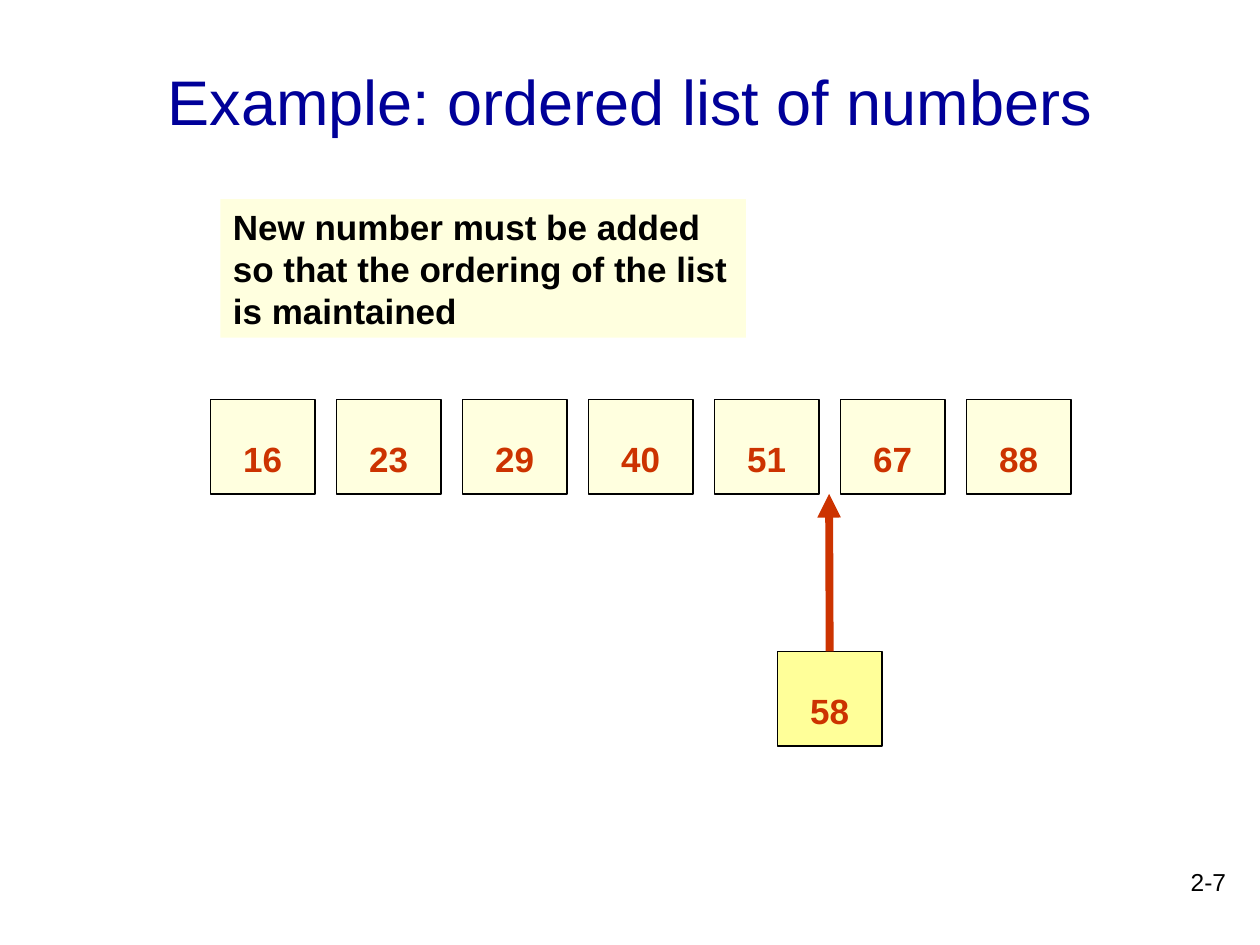
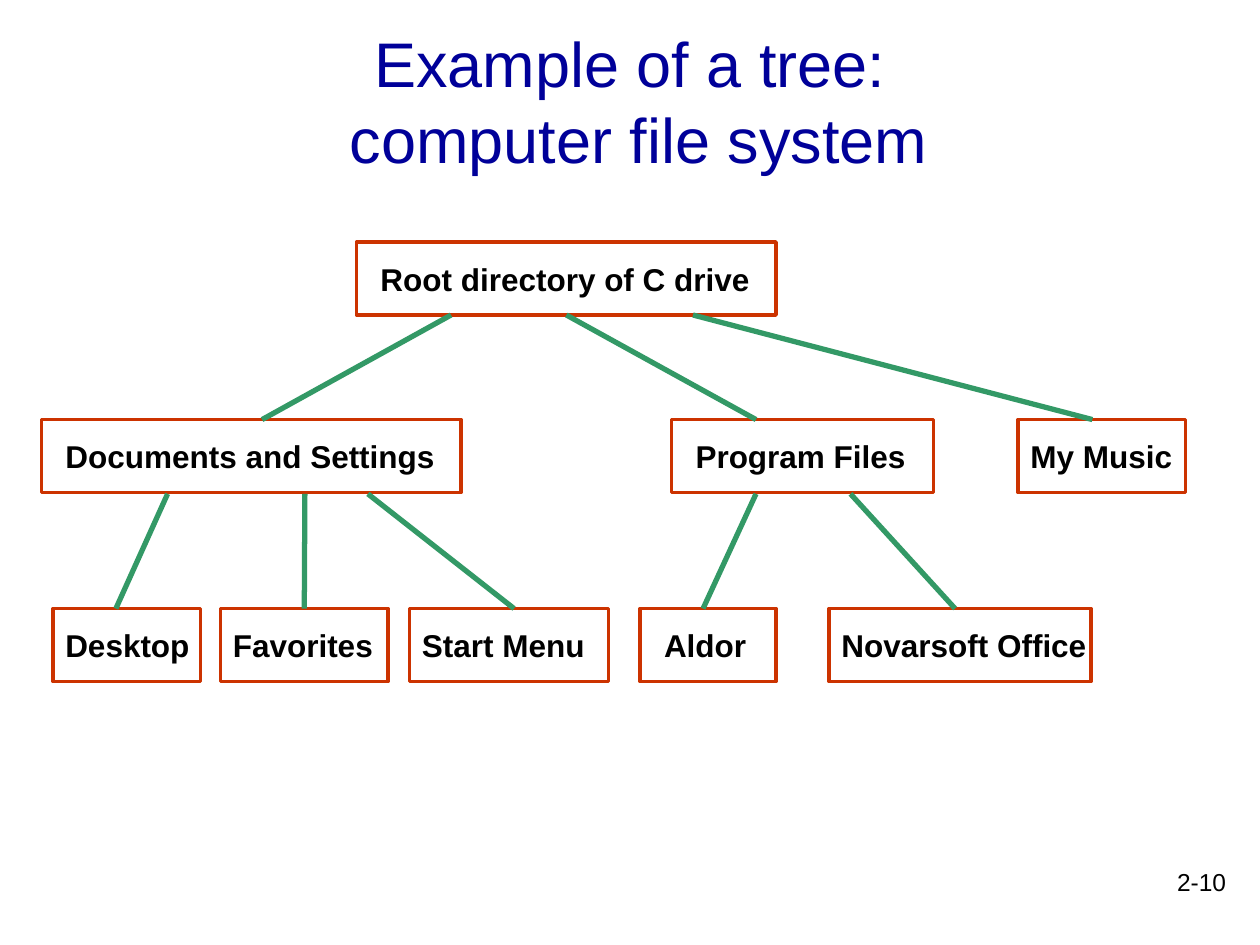
from lxml import etree
from pptx import Presentation
from pptx.dml.color import RGBColor
from pptx.enum.shapes import MSO_CONNECTOR, MSO_SHAPE
from pptx.enum.text import MSO_ANCHOR, PP_ALIGN
from pptx.oxml.ns import qn
from pptx.util import Inches, Pt

RECT = MSO_SHAPE.RECTANGLE
LINE = MSO_CONNECTOR.STRAIGHT
TOP, MID = MSO_ANCHOR.TOP, MSO_ANCHOR.MIDDLE
LEFT, RIGHT, MIDDLE = PP_ALIGN.LEFT, PP_ALIGN.RIGHT, PP_ALIGN.CENTER
FONT = "Arial"
HUES = {
    "title": "000099",
    "ink": "000000",
    "red": "CC3300",
    "green": "339966",
    "cream": "FFFFDF",
    "yellow": "FFFF99",
}


def hue(name):
    return RGBColor.from_string(HUES[name])


def put(slide, text, at, size=18, color="ink", bold=True, align=LEFT, anchor=TOP,
        inset=(0.1, 0.05, 0.1, 0.05), fill=None, edge=None, width=1):
    """Add text in a box; with a fill or an edge the box is a rectangle."""
    spot = [Inches(n) for n in at]
    if fill or edge:
        box = slide.shapes.add_shape(RECT, *spot)
        box.shadow.inherit = False
        if fill:
            box.fill.solid()
            box.fill.fore_color.rgb = hue(fill)
        else:
            box.fill.background()
        if edge:
            box.line.color.rgb = hue(edge)
            box.line.width = Pt(width)
        else:
            box.line.fill.background()
    else:
        box = slide.shapes.add_textbox(*spot)
    frame = box.text_frame
    frame.word_wrap = True
    frame.vertical_anchor = anchor
    (frame.margin_left, frame.margin_top,
     frame.margin_right, frame.margin_bottom) = [Inches(n) for n in inset]
    frame.text = text
    para = frame.paragraphs[0]
    para.alignment = align
    for run in para.runs:
        run.font.name = FONT
        run.font.size = Pt(size)
        run.font.bold = bold
        run.font.color.rgb = hue(color)
    return box


deck = Presentation()
deck.slide_width, deck.slide_height = Inches(10), Inches(7.5)

# Title and page number on each slide
slides = []
for title, page in [
    ("Example: ordered list of numbers", "2-7"),
    ("Example of a tree:\v computer file system", "2-10"),
]:
    slide = deck.slides.add_slide(deck.slide_layouts[6])
    put(slide, page, (7.75, 6.83, 2.08, 0.5), size=14, bold=False, align=RIGHT)
    put(slide, title, (0.75, 0.17, 8.5, 1.25), size=36, color="title",
        bold=False, align=MIDDLE, anchor=MID)
    slides.append(slide)
first, second = slides

# Ordered list: one cell per inch, and the new number below its gap
cells = [(n, 1.67 + i, 3.17, "cream")
         for i, n in enumerate([16, 23, 29, 40, 51, 67, 88])]
cells.append((58, 6.17, 5.17, "yellow"))
for num, x, y, fill in cells:
    cell = put(first, str(num), (x, y, 0.83, 0.75), size=20, color="red",
               inset=(0.26, 0.3, 0, 0), fill=fill, edge="ink")
fresh = cell

# Rule for adding a number
put(first, "New number must be added so that the ordering of the list is maintained",
    (1.75, 1.58, 4.17, 1.1), size=20, fill="cream")

# Tree boxes: row top, then name, left, width and text inset
rows = [
    (1.92, [("Root directory of C drive", 2.83, 3.33, 0.19)]),
    (3.33, [("Documents and Settings", 0.33, 3.33, 0.19),
            ("Program Files", 5.33, 2.08, 0.19),
            ("My Music", 8.08, 1.33, 0.1)]),
    (4.83, [("Desktop", 0.42, 1.17, 0.1),
            ("Favorites", 1.75, 1.33, 0.1),
            ("Start Menu", 3.25, 1.58, 0.1),
            ("Aldor", 5.08, 1.08, 0.19),
            ("Novarsoft Office", 6.58, 2.08, 0.1)]),
]
nodes = {}
for y, row in rows:
    for name, x, wide, pad in row:
        nodes[name] = put(second, name, (x, y, wide, 0.58),
                          inset=(pad, 0.14, 0, 0), edge="red", width=2)
root, docs, progs = [nodes[n] for n in
                     ("Root directory of C drive", "Documents and Settings", "Program Files")]

# Links: slide, start x, y, end x, y, colour, width, joined start and end
links = [(first, 6.58, 5.17, 6.58, 3.92, "red", 4.5, (fresh, 0), None)]
for x, end, join in [(3.58, 2.08, None), (4.5, 6, (root, 2)), (5.5, 8.67, None)]:
    links.append((second, x, 2.5, end, 3.33, "green", 3, join, None))
for x, end, join in [(1.33, 0.92, None), (2.92, 4.08, None),
                     (2.42, 2.42, (nodes["Favorites"], 0)),
                     (6.75, 7.58, None), (6, 5.58, None)]:
    links.append((second, x, 3.92, end, 4.83, "green", 3, None, join))

for slide, x, y, end, low, color, width, start, stop in links:
    link = slide.shapes.add_connector(LINE, *[Inches(n) for n in (x, y, end, low)])
    if start:
        link.begin_connect(*start)
    if stop:
        link.end_connect(*stop)
    link.line.color.rgb = hue(color)
    link.line.width = Pt(width)
    if slide is first:
        etree.SubElement(link.line._get_or_add_ln(), qn("a:tailEnd"), type="triangle")
    etree.SubElement(link._element.spPr, qn("a:effectLst"))

deck.save("out.pptx")
